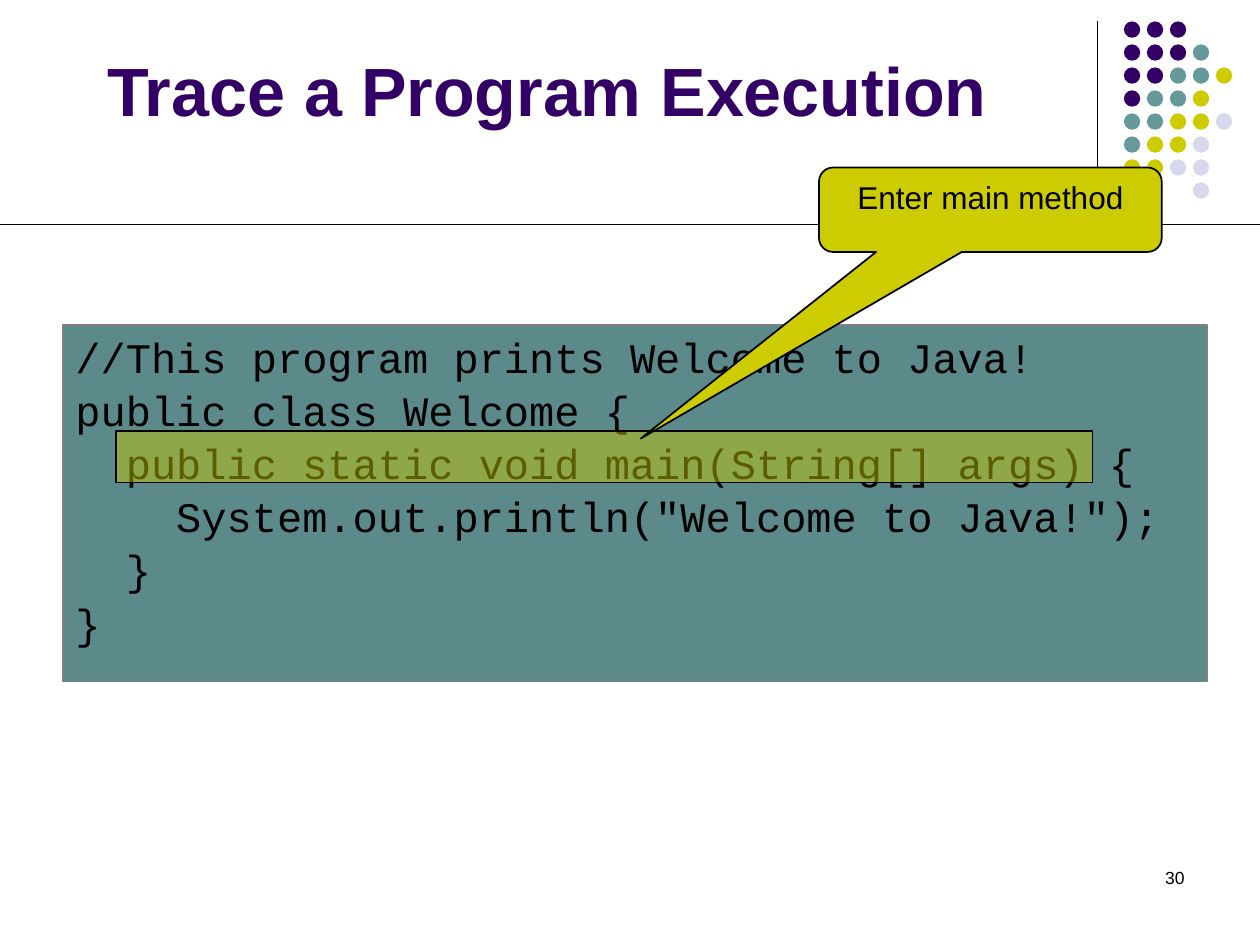
"""Build the slide that traces a Java program and points at its main method."""
from lxml.etree import SubElement
from pptx import Presentation
from pptx.dml.color import RGBColor
from pptx.enum.shapes import MSO_CONNECTOR, MSO_SHAPE
from pptx.enum.text import MSO_ANCHOR, MSO_AUTO_SIZE, PP_ALIGN
from pptx.oxml.ns import qn
from pptx.util import Inches, Pt

BLACK = RGBColor(0x00, 0x00, 0x00)
GRAY = RGBColor(0x80, 0x80, 0x80)
PURPLE = RGBColor(0x33, 0x00, 0x66)
TEAL = RGBColor(0x66, 0x99, 0x99)
DARK_TEAL = RGBColor(0x5C, 0x8A, 0x8A)
LIME = RGBColor(0xCC, 0xCC, 0x00)
LAVENDER = RGBColor(0xD8, 0xD8, 0xEC)

DOT_COLORS = {"P": PURPLE, "T": TEAL, "L": LIME, "V": LAVENDER}
DOT_ROWS = ["PPP", "PPPT", "PPTTL", "PTTL", "TTLLV", "TLLV", "LLVV", " V V"]
DOT_LEFT, DOT_TOP, DOT_SIZE = 8.92, 0.17, 0.13
DOT_PITCH = (9.65 - DOT_LEFT) / 4

CODE = """//This program prints Welcome to Java!
public class Welcome {
  public static void main(String[] args) {
    System.out.println("Welcome to Java!");
  }
}"""


class TraceSlide:
    """Hold the fonts and the current slide, and add each kind of element."""

    body_font = "Arial"
    code_font = "Courier New"

    def __init__(self, presentation):
        self.slide = presentation.slides.add_slide(presentation.slide_layouts[5])
        self.shapes = self.slide.shapes

    def set_text(self, shape, text, size, font=body_font, color=BLACK,
                 bold=False, align=PP_ALIGN.LEFT, anchor=MSO_ANCHOR.TOP):
        frame = shape.text_frame
        frame.text = text
        frame.word_wrap = True
        frame.auto_size = MSO_AUTO_SIZE.NONE
        frame.vertical_anchor = anchor
        for paragraph in frame.paragraphs:
            paragraph.alignment = align
            for run in paragraph.runs:
                run.font.name = font
                run.font.size = Pt(size)
                run.font.bold = bold
                run.font.color.rgb = color
        return frame

    def title(self, text, left, top, width, height):
        heading = self.shapes.title
        heading.left, heading.top = Inches(left), Inches(top)
        heading.width, heading.height = Inches(width), Inches(height)
        self.set_text(heading, text, 39, color=PURPLE, bold=True,
                      anchor=MSO_ANCHOR.BOTTOM)

    def rule(self, x1, y1, x2, y2):
        rule = self.shapes.add_connector(
            MSO_CONNECTOR.STRAIGHT, Inches(x1), Inches(y1), Inches(x2), Inches(y2))
        rule.line.color.rgb = BLACK
        rule.line.width = Pt(0.75)
        SubElement(rule.element.spPr, qn("a:effectLst"))

    def shape(self, kind, left, top, width, height, fill,
              line=None, line_width=1, alpha=None, parent=None):
        shape = (parent or self.shapes).add_shape(
            kind, Inches(left), Inches(top), Inches(width), Inches(height))
        shape.shadow.inherit = False
        shape.fill.solid()
        shape.fill.fore_color.rgb = fill
        if alpha is not None:
            tint = shape.element.spPr.find(qn("a:solidFill")).find(qn("a:srgbClr"))
            SubElement(tint, qn("a:alpha"), val=str(alpha * 1000))
        if line is None:
            shape.line.fill.background()
        else:
            shape.line.color.rgb = line
            shape.line.width = Pt(line_width)
        return shape

    def dots(self):
        cluster = self.shapes.add_group_shape().shapes
        for row, pattern in enumerate(DOT_ROWS):
            for column, key in enumerate(pattern):
                if key in DOT_COLORS:
                    self.shape(MSO_SHAPE.OVAL, DOT_LEFT + column * DOT_PITCH,
                               DOT_TOP + row * DOT_PITCH, DOT_SIZE, DOT_SIZE,
                               DOT_COLORS[key], parent=cluster)

    def page_number(self, text, left, top, width, height):
        number = self.shapes.add_textbox(
            Inches(left), Inches(top), Inches(width), Inches(height))
        self.set_text(number, text, 10, align=PP_ALIGN.RIGHT)

    def code(self, text, left, top, width, height):
        panel = self.shape(MSO_SHAPE.RECTANGLE, left, top, width, height,
                           DARK_TEAL, GRAY, 0.75)
        frame = self.set_text(panel, text, 24, font=self.code_font)
        for index, paragraph in enumerate(frame.paragraphs):
            paragraph.space_before = Pt(1.6 if index else 6)

    def highlight(self, left, top, width, height):
        self.shape(MSO_SHAPE.RECTANGLE, left, top, width, height,
                   LIME, BLACK, alpha=45)

    def callout(self, text, left, top, width, height, pointer):
        bubble = self.shape(MSO_SHAPE.ROUNDED_RECTANGULAR_CALLOUT,
                            left, top, width, height, LIME, BLACK)
        bubble.adjustments[0], bubble.adjustments[1] = pointer
        self.set_text(bubble, text, 18, align=PP_ALIGN.CENTER)


def main():
    presentation = Presentation()
    presentation.slide_width, presentation.slide_height = Inches(10), Inches(7.5)
    trace = TraceSlide(presentation)
    trace.rule(8.71, 0.17, 8.71, 1.83)
    trace.dots()
    trace.rule(0, 1.78, 10, 1.78)
    trace.title("Trace a Program Execution", 0.75, 0.5, 8.5, 0.58)
    trace.page_number("30", 7.17, 6.83, 2.33, 0.5)
    trace.code(CODE, 0.5, 2.58, 9.08, 2.83)
    trace.highlight(0.92, 3.42, 7.75, 0.41)
    trace.callout("Enter main method", 6.5, 1.33, 2.72, 0.67, (-1.02, 2.71))
    presentation.save("out.pptx")


if __name__ == "__main__":
    main()
